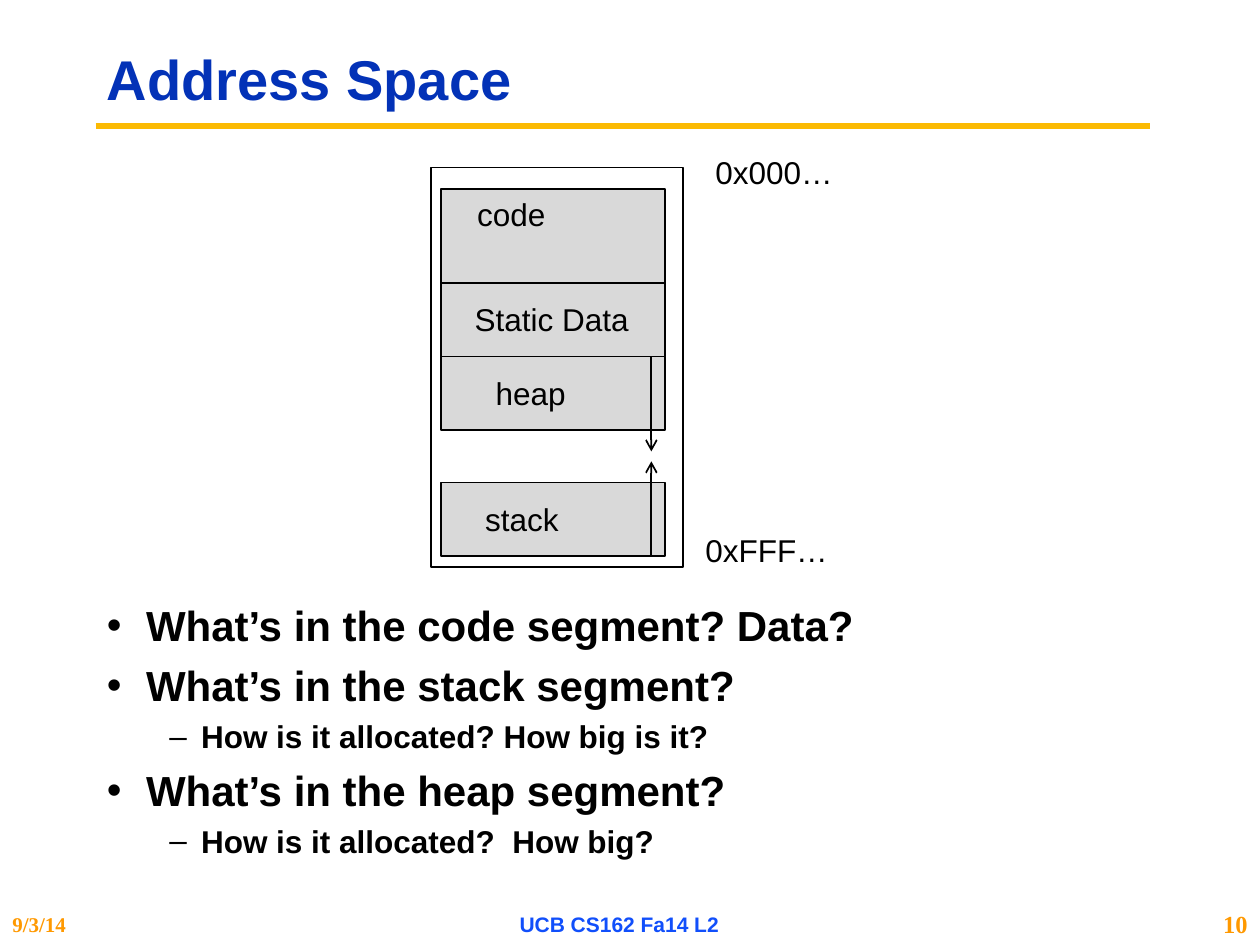
"""Build the Address Space slide: a memory layout diagram with questions below."""
from dataclasses import dataclass

from lxml import etree
from pptx import Presentation
from pptx import util as u
from pptx.dml.color import RGBColor
from pptx.enum import shapes, text
from pptx.oxml.ns import qn

COLORS = {
    "title": "0332B7",
    "rule": "FBBA03",
    "ink": "000000",
    "segment": "D9D9D9",
    "footer": "114FFB",
    "accent": "FF9900",
}


@dataclass(frozen=True)
class Box:
    left: float
    top: float
    width: float
    height: float

    def lengths(self) -> tuple:
        return u.Cm(self.left), u.Cm(self.top), u.Cm(self.width), u.Cm(self.height)


@dataclass(frozen=True)
class Style:
    size: int
    color: str = "ink"
    bold: bool = True
    font: str = "Arial"


@dataclass(frozen=True)
class Label:
    words: str
    box: Box
    style: Style = Style(18, bold=False)
    align: text.PP_ALIGN = text.PP_ALIGN.LEFT
    anchor: text.MSO_ANCHOR = text.MSO_ANCHOR.TOP
    wrap: bool = False


@dataclass(frozen=True)
class Level:
    style: Style
    margin: float
    hanging: float
    space_before: float


@dataclass(frozen=True)
class Question:
    words: str
    level: int = 0


@dataclass(frozen=True)
class Line:
    start: tuple
    end: tuple
    color: str = "ink"
    width: float = 1
    arrow: bool = False


SEGMENT_LEFT, SEGMENT_WIDTH, SEGMENT_HEIGHT = 8.89, 4.52, 1.48
HEAP_TOP, STACK_TOP, GROWTH_X, GROWTH = 7.19, 9.73, 13.13, 1.91
FOOTER_TOP, FOOTER_HEIGHT = 18.21, 0.84
LABEL_HEIGHT = 1.02

ADDRESS_SPACE = Box(8.69, 3.38, 5.08, 8.05)
SEGMENTS = [
    Box(SEGMENT_LEFT, 3.81, SEGMENT_WIDTH, 1.9),
    *(Box(SEGMENT_LEFT, top, SEGMENT_WIDTH, SEGMENT_HEIGHT)
      for top in (HEAP_TOP - SEGMENT_HEIGHT, HEAP_TOP, STACK_TOP)),
]
LABELS = [
    Label("0x000…", Box(14.17, 2.97, 2.9, LABEL_HEIGHT)),
    Label("0xFFF…", Box(13.97, 10.58, 3, LABEL_HEIGHT)),
    Label("code", Box(9.37, 3.81, 1.9, LABEL_HEIGHT)),
    Label("Static Data", Box(9.32, 5.93, 3.66, LABEL_HEIGHT)),
    Label("heap", Box(9.74, 7.41, 1.93, LABEL_HEIGHT)),
    Label("stack", Box(9.53, 9.95, 2.01, LABEL_HEIGHT)),
]
FOOTERS = [
    Label("9/3/14", Box(0, FOOTER_TOP, 4.24, FOOTER_HEIGHT),
          Style(12, "accent", font="Times New Roman"),
          anchor=text.MSO_ANCHOR.MIDDLE, wrap=True),
    Label("UCB CS162 Fa14 L2", Box(8.46, FOOTER_TOP, 8.05, FOOTER_HEIGHT),
          Style(12, "footer"), text.PP_ALIGN.CENTER, text.MSO_ANCHOR.MIDDLE, True),
    Label("10", Box(23.93, FOOTER_TOP, 1.47, FOOTER_HEIGHT),
          Style(14, "accent", font="Times New Roman"),
          text.PP_ALIGN.RIGHT, text.MSO_ANCHOR.MIDDLE, True),
]
LINES = [
    Line((1.93, 2.54), (23.19, 2.54), "rule", 3.75),
    Line((GROWTH_X, STACK_TOP + SEGMENT_HEIGHT),
         (GROWTH_X, STACK_TOP + SEGMENT_HEIGHT - GROWTH), arrow=True),
    Line((GROWTH_X, HEAP_TOP), (GROWTH_X, HEAP_TOP + GROWTH), arrow=True),
]
LEVELS = [Level(Style(24), 0.79, 0.79, 8.3), Level(Style(18), 1.9, 0.64, 6.2)]
QUESTIONS = [
    Question("What’s in the code segment? Data?"),
    Question("What’s in the stack segment?"),
    Question("How is it allocated? How big is it?", 1),
    Question("What’s in the heap segment?"),
    Question("How is it allocated?  How big?", 1),
]


def rgb(name: str) -> RGBColor:
    return RGBColor.from_string(COLORS[name])


def add_run(paragraph, words: str, style: Style) -> None:
    run = paragraph.add_run()
    run.text = words
    run.font.name = style.font
    run.font.size = u.Pt(style.size)
    run.font.bold = style.bold
    run.font.color.rgb = rgb(style.color)


def place(shape, box: Box) -> None:
    shape.left, shape.top, shape.width, shape.height = box.lengths()


def add_title(slide) -> None:
    title = slide.shapes.title
    place(title, Box(1.9, 0.64, 21.39, 2.06))
    title.text_frame.vertical_anchor = text.MSO_ANCHOR.MIDDLE
    title.text_frame.auto_size = text.MSO_AUTO_SIZE.NONE
    paragraph = title.text_frame.paragraphs[0]
    paragraph.alignment = text.PP_ALIGN.LEFT
    paragraph.line_spacing = 0.9
    add_run(paragraph, "Address Space", Style(32, "title"))


def add_questions(slide, questions: list[Question]) -> None:
    body = slide.placeholders[1]
    place(body, Box(1.9, 12.07, 21.79, 1.27))
    frame = body.text_frame
    frame.auto_size = text.MSO_AUTO_SIZE.NONE
    for index, question in enumerate(questions):
        paragraph = frame.add_paragraph() if index else frame.paragraphs[0]
        level = LEVELS[question.level]
        paragraph.level = question.level
        paragraph.line_spacing = 0.9
        paragraph.space_before = u.Pt(level.space_before if index else 0)
        properties = paragraph._p.get_or_add_pPr()
        properties.set("marL", str(u.Cm(level.margin)))
        properties.set("indent", str(-u.Cm(level.hanging)))
        add_run(paragraph, question.words, level.style)


def add_rectangle(slide, box: Box, fill: str | None = None) -> None:
    shape = slide.shapes.add_shape(shapes.MSO_SHAPE.RECTANGLE, *box.lengths())
    shape.shadow.inherit = False
    if fill:
        shape.fill.solid()
        shape.fill.fore_color.rgb = rgb(fill)
    else:
        shape.fill.background()
    shape.line.color.rgb = rgb("ink")
    shape.line.width = u.Pt(1)


def add_label(slide, label: Label) -> None:
    frame = slide.shapes.add_textbox(*label.box.lengths()).text_frame
    frame.word_wrap = label.wrap
    frame.vertical_anchor = label.anchor
    paragraph = frame.paragraphs[0]
    paragraph.alignment = label.align
    add_run(paragraph, label.words, label.style)


def add_line(slide, line: Line) -> None:
    ends = [u.Cm(value) for value in (*line.start, *line.end)]
    connector = slide.shapes.add_connector(shapes.MSO_CONNECTOR.STRAIGHT, *ends)
    connector.line.color.rgb = rgb(line.color)
    connector.line.width = u.Pt(line.width)
    if line.arrow:
        etree.SubElement(connector.line._get_or_add_ln(), qn("a:tailEnd"), type="arrow")
    etree.SubElement(connector._element.spPr, qn("a:effectLst"))


def main() -> None:
    presentation = Presentation()
    presentation.slide_width, presentation.slide_height = u.Cm(25.4), u.Cm(19.05)
    slide = presentation.slides.add_slide(presentation.slide_layouts[1])
    add_title(slide)
    add_questions(slide, QUESTIONS)
    add_rectangle(slide, ADDRESS_SPACE)
    for segment in SEGMENTS:
        add_rectangle(slide, segment, "segment")
    for label in LABELS + FOOTERS:
        add_label(slide, label)
    for line in LINES:
        add_line(slide, line)
    presentation.save("out.pptx")


if __name__ == "__main__":
    main()
